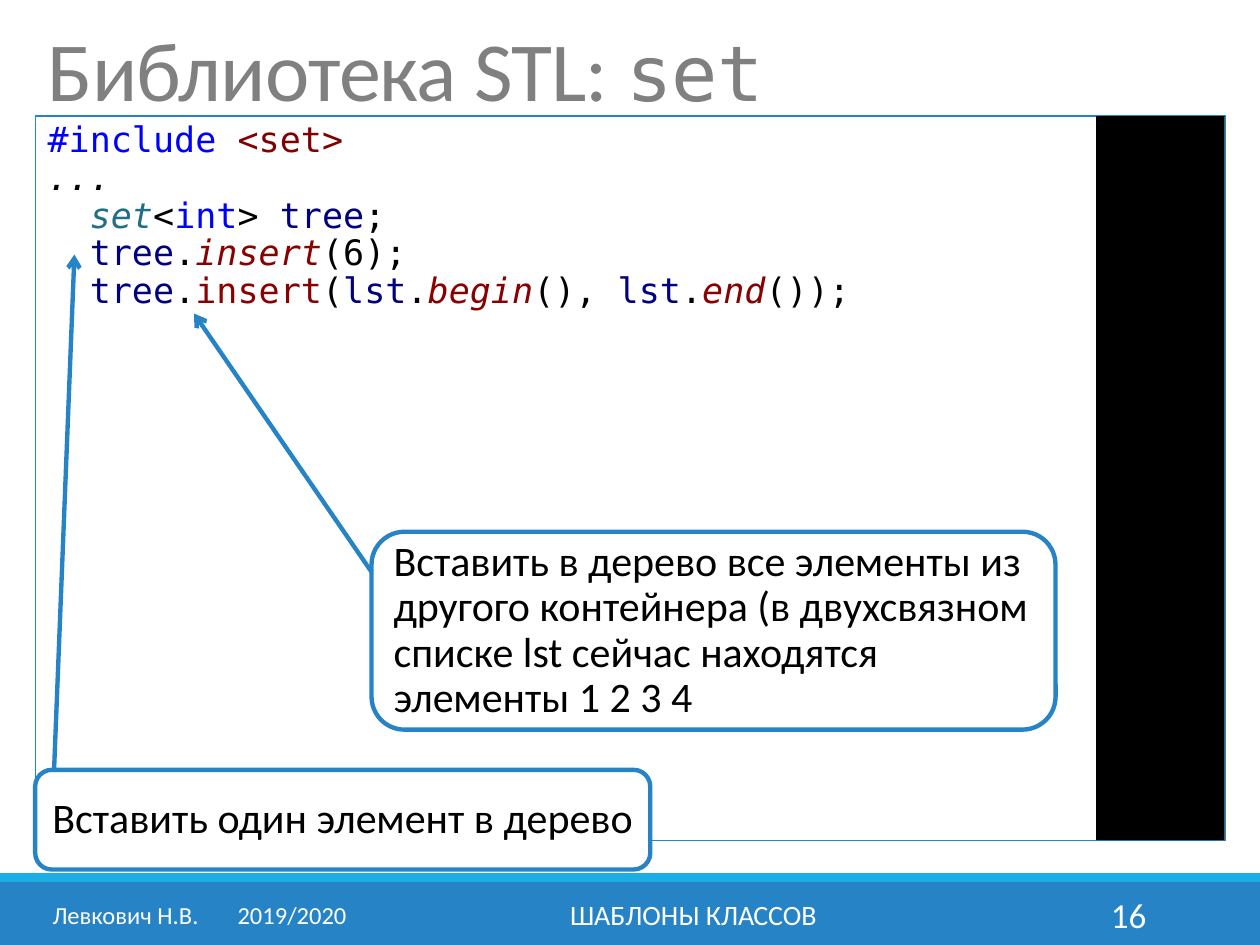
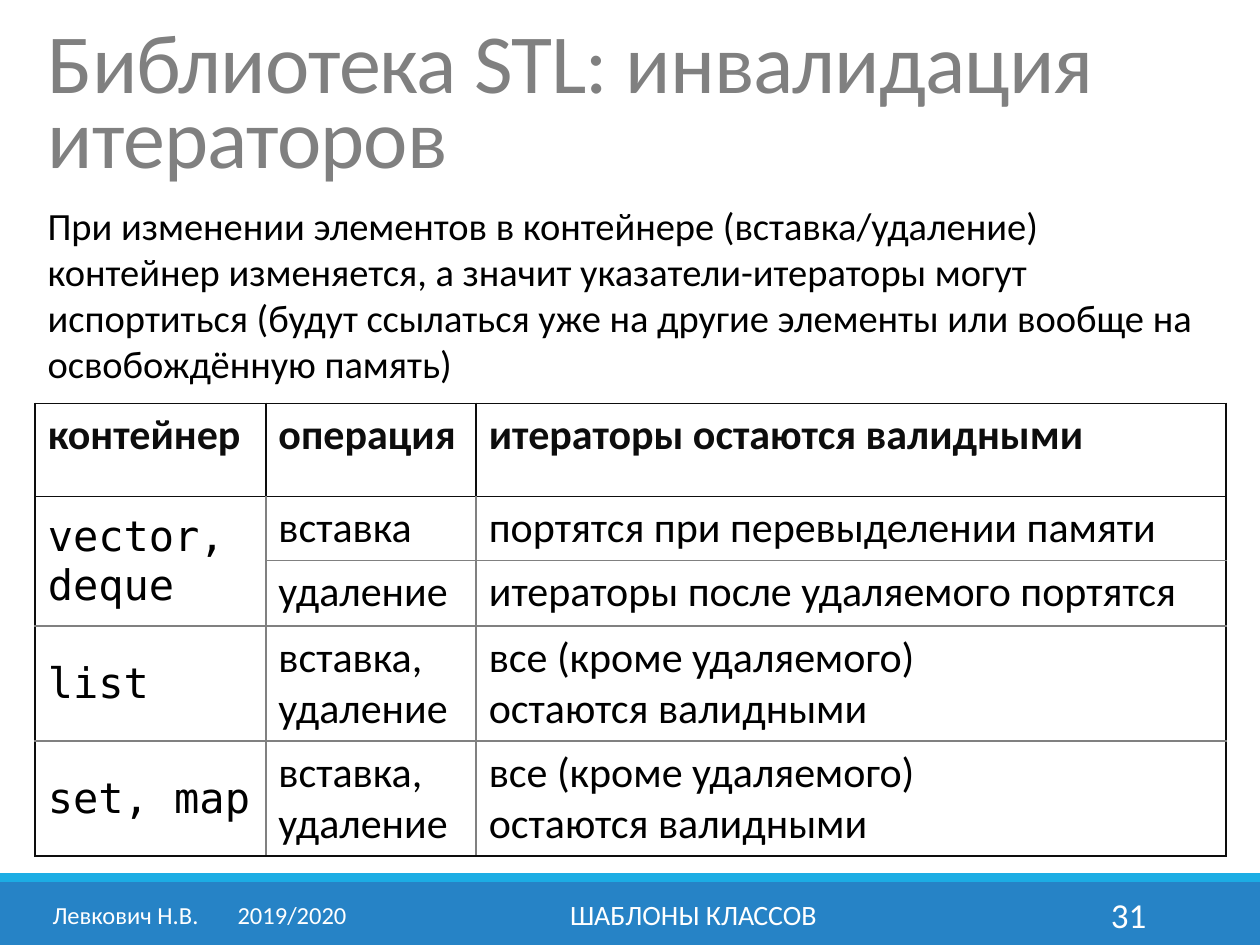
"""Builds two lecture slides on the STL: the set container and iterator invalidation."""
from lxml import etree
from pptx import Presentation
from pptx.dml.color import RGBColor
from pptx.enum.shapes import MSO_CONNECTOR, MSO_SHAPE
from pptx.enum.text import MSO_ANCHOR, MSO_AUTO_SIZE, PP_ALIGN
from pptx.oxml import parse_xml
from pptx.oxml.ns import nsdecls, qn
from pptx.util import Cm, Pt

RECTANGLE, ROUNDED = MSO_SHAPE.RECTANGLE, MSO_SHAPE.ROUNDED_RECTANGLE
STRAIGHT = MSO_CONNECTOR.STRAIGHT
TOP, MIDDLE = MSO_ANCHOR.TOP, MSO_ANCHOR.MIDDLE
LEFT, CENTER, RIGHT = PP_ALIGN.LEFT, PP_ALIGN.CENTER, PP_ALIGN.RIGHT
BODY_FONT, CODE_FONT = "Calibri", "DejaVu Sans Mono"
BLUE, CYAN, GREY, INK = "2683C6", "1CADE4", "808080", "0D0D0D"
WHITE, BLACK = "FFFFFF", "000000"
KEYWORD, STRING, TYPE, VARIABLE, METHOD = "0000FF", "800000", "216F85", "000080", "880000"
MARGIN, CONTENT_WIDTH = 0.71, 24
FOOTER_TOP, FOOTER_HEIGHT = 17.93, 1.02


def write(holder, paragraphs, anchor=TOP, align=LEFT, spacing=None, tab=None, **style):
    """Fill a text holder with paragraphs, each a list of (text, style changes)."""
    frame = holder.text_frame
    if hasattr(holder, "vertical_anchor"):
        holder.vertical_anchor = anchor
    else:
        frame.word_wrap, frame.vertical_anchor = True, anchor
        frame.auto_size = MSO_AUTO_SIZE.NONE
    for index, spans in enumerate(paragraphs):
        para = frame.add_paragraph() if index else frame.paragraphs[0]
        para.alignment = align
        if spacing:
            para.line_spacing = spacing
        if tab:
            stops = etree.SubElement(para._p.get_or_add_pPr(), qn("a:tabLst"))
            etree.SubElement(stops, qn("a:tab"), pos=str(Cm(tab)), algn="l")
        for text, changes in spans:
            look = {"font": BODY_FONT, "color": BLACK, **style, **changes}
            span = para.add_run()
            span.text = text
            span.font.name, span.font.size = look["font"], Pt(look["size"])
            span.font.bold, span.font.italic = look.get("bold", False), look.get("italic", False)
            span.font.color.rgb = RGBColor.from_string(look["color"])
            if "tracking" in look:
                span._r.get_or_add_rPr().set("spc", str(look["tracking"]))


def add_block(page, kind, place, fill=None, line=None, width=0.75):
    """Add a preset shape with a plain fill and outline."""
    block = page.shapes.add_shape(kind, *map(Cm, place))
    block.shadow.inherit = False
    if fill:
        block.fill.solid()
        block.fill.fore_color.rgb = RGBColor.from_string(fill)
    else:
        block.fill.background()
    if line:
        block.line.color.rgb = RGBColor.from_string(line)
        block.line.width = Pt(width)
    else:
        block.line.fill.background()
    return block


deck = Presentation()
deck.slide_width, deck.slide_height = Cm(25.4), Cm(19.05)

headings = [
    (16, 2.01, 0.85, [("Библиотека STL: ", {}), ("set", {"font": CODE_FONT, "size": 44})]),
    (31, 3.61, 0.75, [("Библиотека STL: инвалидация итераторов", {})]),
]
for number, title_height, spacing, spans in headings:
    page = deck.slides.add_slide(deck.slide_layouts[5])
    add_block(page, RECTANGLE, (0, 17.78, 25.4, 1.27), BLUE)
    add_block(page, RECTANGLE, (0, 17.6, 25.4, 0.18), CYAN)
    title = page.shapes.title
    title.left, title.top = Cm(MARGIN), Cm(0.53)
    title.width, title.height = Cm(CONTENT_WIDTH), Cm(title_height)
    write(title, [spans], spacing=spacing, size=48, color=GREY, tracking=-50)
    footers = [
        (0.81, 6.63, "Левкович Н.В. \t2019/2020", 14, LEFT, 3.73),
        (7.67, 12.62, "ШАБЛОНЫ КЛАССОВ", 16, CENTER, None),
        (20.62, 2.74, str(number), 20, RIGHT, None),
    ]
    for left, width, text, size, align, tab in footers:
        box = page.shapes.add_textbox(Cm(left), Cm(FOOTER_TOP), Cm(width), Cm(FOOTER_HEIGHT))
        write(box, [[(text, {})]], MIDDLE, align, tab=tab, size=size, color=WHITE)

set_page, validity_page = deck.slides

code_lines = [
    [("#include", KEYWORD), (" ", BLACK), ("<set>", STRING)],
    [("...", BLACK, True)],
    [("  set", TYPE, True), ("<", BLACK), ("int", KEYWORD), ("> ", BLACK),
     ("tree", VARIABLE), (";", BLACK)],
    [("  tree", VARIABLE), (".", BLACK), ("insert", METHOD, True), ("(6);", BLACK)],
    [("  tree", VARIABLE), (".", BLACK), ("insert", METHOD), ("(", BLACK),
     ("lst", VARIABLE), (".", BLACK), ("begin", METHOD, True), ("(), ", BLACK),
     ("lst", VARIABLE), (".", BLACK), ("end", METHOD, True), ("());", BLACK)],
]
code = add_block(set_page, RECTANGLE, (MARGIN, 2.34, CONTENT_WIDTH, 14.6), line=BLUE)
write(code, [[(text, {"color": color, "italic": bool(italic)}) for text, color, *italic in line]
             for line in code_lines], spacing=0.9, font=CODE_FONT, size=20)
add_block(set_page, RECTANGLE, (22.1, 2.34, 2.59, 14.6), BLACK)

callouts = [
    ("Вставить один элемент в дерево",
     (MARGIN, 15.52, 12.4, 2.01), (1.09, 15.52, 1.5, 5.13)),
    ("Вставить в дерево все элементы из другого контейнера "
     "(в двухсвязном списке lst сейчас находятся элементы 1 2 3 4",
     (7.49, 10.72, 13.79, 3.99), (7.49, 11.53, 3.91, 6.32)),
]
for text, place, ends in callouts:
    note = add_block(set_page, ROUNDED, place, WHITE, BLUE, 2.5)
    note.text_frame.margin_right = 0
    write(note, [[(text, {})]], MIDDLE, spacing=0.9, size=24)
    arrow = set_page.shapes.add_connector(STRAIGHT, *map(Cm, ends))
    arrow.line.color.rgb = RGBColor.from_string(BLUE)
    arrow.line.width = Pt(2.5)
    etree.SubElement(arrow.line._get_or_add_ln(), qn("a:tailEnd"), type="arrow")
    etree.SubElement(arrow._element.spPr, qn("a:effectLst"))

body = validity_page.shapes.add_textbox(Cm(MARGIN), Cm(3.94), Cm(CONTENT_WIDTH), Cm(3.2))
write(body, [[("При изменении элементов в контейнере (вставка/удаление) контейнер изменяется, "
               "а значит указатели-итераторы могут испортиться (будут ссылаться уже на другие "
               "элементы или вообще на освобождённую память)", {})]], size=22)

survivors = "все (кроме удаляемого)\nостаются валидными"
rows = [
    ("контейнер", "операция", "итераторы остаются валидными"),
    ("vector,\ndeque", "вставка", "портятся при перевыделении памяти"),
    ("", "удаление", "итераторы после удаляемого портятся"),
    ("list", "вставка, удаление", survivors),
    ("set, map", "вставка, удаление", survivors),
]
column_widths = [4.65, 4.24, 15.11]
row_heights = [1.88, 1.19, 1.32, 2.21, 2.31]
table = validity_page.shapes.add_table(
    len(rows), len(column_widths), Cm(MARGIN), Cm(8.13), Cm(CONTENT_WIDTH),
    Cm(sum(row_heights))).table
for column, width in zip(table.columns, column_widths):
    column.width = Cm(width)
for row, height in zip(table.rows, row_heights):
    row.height = Cm(height)
table.cell(1, 0).merge(table.cell(2, 0))

for r, texts in enumerate(rows):
    for c, text in enumerate(texts):
        cell = table.cell(r, c)
        cell.fill.solid()
        cell.fill.fore_color.rgb = RGBColor.from_string(WHITE)
        header, container = r == 0, r > 0 and c == 0
        if text:
            write(cell, [[(line, {})] for line in text.split("\n")],
                  MIDDLE if container else TOP, size=24, bold=header,
                  color=INK if header else BLACK, font=CODE_FONT if container else BODY_FONT)
        dark_sides = {"L": c == 0, "R": c == len(texts) - 1, "T": r <= 1, "B": r == len(rows) - 1}
        for position, (side, dark) in enumerate(dark_sides.items()):
            color = INK if header or dark else GREY
            border = parse_xml(f'<a:ln{side} {nsdecls("a")} w="12700"><a:solidFill>'
                               f'<a:srgbClr val="{color}"/></a:solidFill></a:ln{side}>')
            cell._tc.get_or_add_tcPr().insert(position, border)

deck.save("out.pptx")
